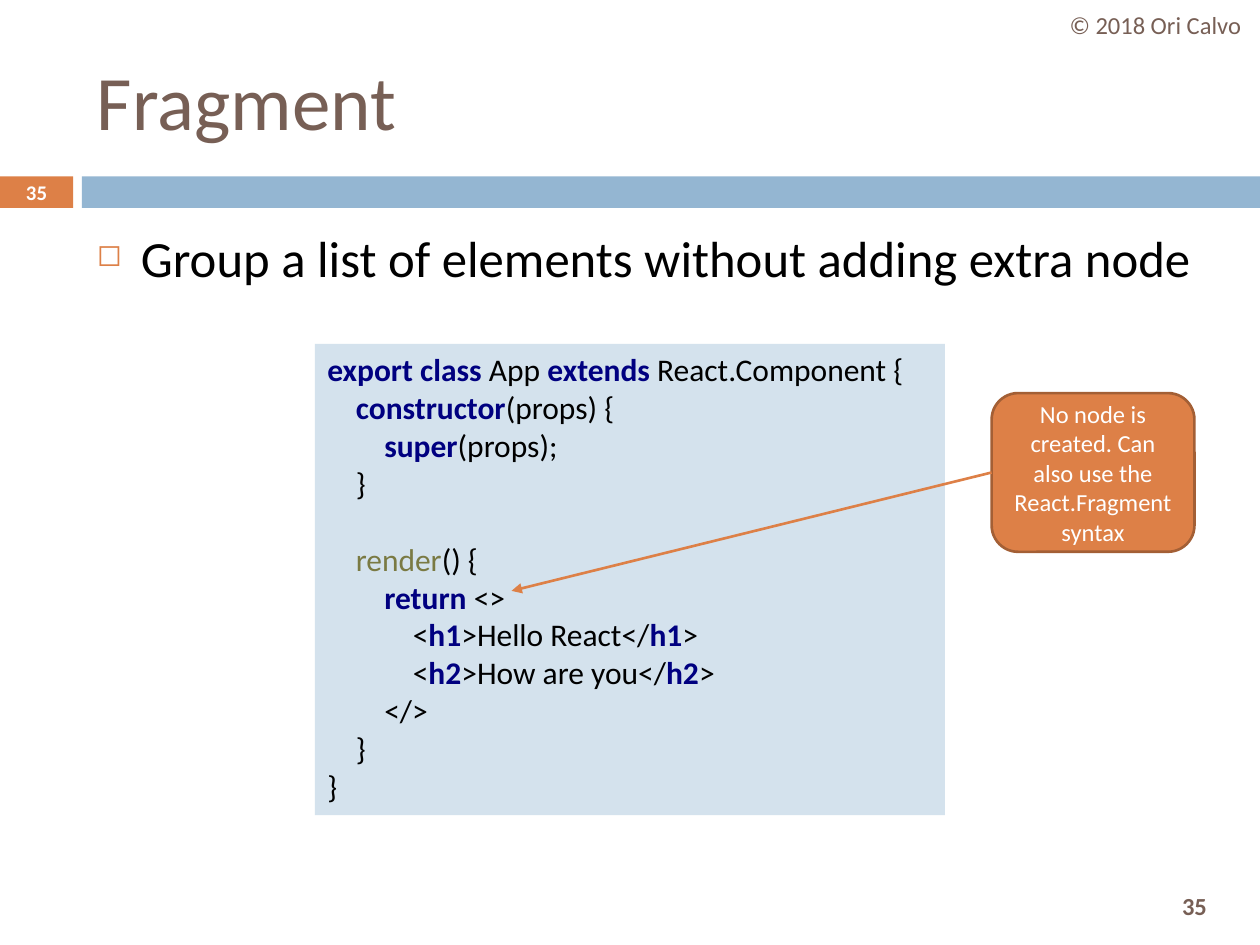
from dataclasses import dataclass
from lxml.etree import SubElement as Sub
from pptx import Presentation as Deck
from pptx.dml.color import RGBColor as Rgb
from pptx.enum.shapes import MSO_CONNECTOR as Conn, MSO_SHAPE as Kind
from pptx.enum.text import MSO_ANCHOR as Anchor, PP_ALIGN as Align
from pptx.oxml.ns import qn
from pptx.util import Inches, Pt


@dataclass(frozen=True)
class Theme:
    font: str = "Calibri"
    brown: str = "775F55"
    orange: str = "DD8047"
    rust: str = "A35F35"
    blue: str = "94B6D2"
    pale: str = "D4E2ED"
    navy: str = "000080"
    olive: str = "7A7A43"
    black: str = "000000"
    white: str = "FFFFFF"
    title: float = 44
    body: float = 29
    code: float = 18
    note: float = 14
    badge: float = 11.9
    line: float = 1.5


T = Theme()
WIDE, HIGH = Inches(10), Inches(7.5)
TAB = Inches(0.226)  # one level of code indent
GAP = Pt(22)  # one code line

# Depth, space above, text; every second piece between bars is coloured
CODE = [
    (0, 0, "|export class| App |extends| React.Component {"),
    (1, 0, "|constructor|(props) {"),
    (2, 0, "|super|(props);"),
    (1, 0, "}"),
    (1, GAP, "|render|() {"),
    (2, 0, "|return| <>"),
    (3, 0, "<|h1|>Hello React</|h1|>"),
    (3, 0, "<|h2|>How are you</|h2|>"),
    (2, 0, "</>"),
    (1, 0, "}"),
    (0, 0, "}"),
]


def place(*parts):
    """Turn percent of the slide's width and height into lengths."""
    return [int((HIGH if i % 2 else WIDE) * part / 100)
            for i, part in enumerate(parts)]


def style(run, size, color, bold=False):
    font = run.font
    font.name, font.size, font.bold = T.font, Pt(size), bold
    font.color.rgb = Rgb.from_string(color)


def write(shape, text, size, color, bold=False, align=Align.CENTER,
          anchor=Anchor.MIDDLE):
    frame = shape.text_frame
    frame.word_wrap = True
    frame.vertical_anchor = anchor
    frame.text = text
    para = frame.paragraphs[0]
    para.alignment = align
    style(para.runs[0], size, color, bold)
    return para


def label(slide, area, *args, **opts):
    return write(slide.shapes.add_textbox(*place(*area)), *args, **opts)


def block(slide, area, fill, kind=Kind.RECTANGLE, edge=None):
    shape = slide.shapes.add_shape(kind, *place(*area))
    shape.shadow.inherit = False
    shape.fill.solid()
    shape.fill.fore_color.rgb = Rgb.from_string(fill)
    if edge:
        shape.line.color.rgb = Rgb.from_string(edge)
        shape.line.width = Pt(T.line)
    else:
        shape.line.fill.background()
    return shape


def indent(para, left, hang=0):
    props = para._p.get_or_add_pPr()
    props.set("marL", str(int(left)))
    props.set("indent", str(int(-hang)))
    return props


def bullet(para, mark, color, share):
    props = indent(para, Inches(0.35), Inches(0.35))
    tint = Sub(props, qn("a:buClr"))
    Sub(tint, qn("a:srgbClr"), val=color)
    Sub(props, qn("a:buSzPct"), val=str(share * 1000))
    Sub(props, qn("a:buChar"), char=mark)


def listing(shape, lines):
    frame = shape.text_frame
    frame.word_wrap = True
    frame.vertical_anchor = Anchor.TOP
    for row, (depth, above, text) in enumerate(lines):
        para = frame.add_paragraph() if row else frame.paragraphs[0]
        para.alignment = Align.LEFT
        para.space_before = above
        indent(para, depth * TAB)
        for i, piece in enumerate(text.split("|")):
            if not piece:
                continue
            run = para.add_run()
            run.text = piece
            call = piece == "render"
            key = i % 2 == 1
            color = T.olive if call else T.navy if key else T.black
            style(run, T.code, color, key and not call)


def arrow(slide, ends, color):
    link = slide.shapes.add_connector(Conn.STRAIGHT, *place(*ends))
    link.line.color.rgb = Rgb.from_string(color)
    link.line.width = Pt(T.line)
    Sub(link.line._get_or_add_ln(), qn("a:tailEnd"), type="triangle")
    Sub(link._element.spPr, qn("a:effectLst"))


def main():
    deck = Deck()
    deck.slide_width, deck.slide_height = WIDE, HIGH
    slide = deck.slides.add_slide(deck.slide_layouts[6])

    # Band and page numbers
    block(slide, (0, 18.67, 5.8, 3.33), T.orange)
    block(slide, (6.5, 18.67, 93.5, 3.33), T.blue)
    label(slide, (90.2, 93.07, 9.2, 5.6), "35", T.note, T.brown, bold=True)
    label(slide, (0, 18.53, 5.8, 3.6), "35", T.badge, T.white, bold=True)

    # Title and credit
    label(slide, (6.7, 3.33, 89.2, 14.4), "Fragment", T.title, T.brown,
          align=Align.LEFT)
    label(slide, (83.4, 0, 16.6, 5.33), "© 2018 Ori Calvo", T.note, T.brown)

    # Main point
    point = label(slide, (6.7, 23.33, 89.2, 65.6),
                  "Group a list of elements without adding extra node",
                  T.body, T.black, align=Align.LEFT, anchor=Anchor.TOP)
    point.space_before = Pt(7)
    bullet(point, "◻", T.orange, 60)

    # Code with its callout
    listing(block(slide, (25, 36.4, 50, 49.87), T.pale), CODE)
    note = block(slide, (78.7, 41.6, 16.1, 16.8), T.orange,
                 Kind.ROUNDED_RECTANGLE, T.rust)
    write(note, "No node is created. Can also use the React.Fragment syntax",
          T.note, T.white)
    arrow(slide, (78.7, 50, 40.6, 62.53), T.orange)

    deck.save("out.pptx")


main()
